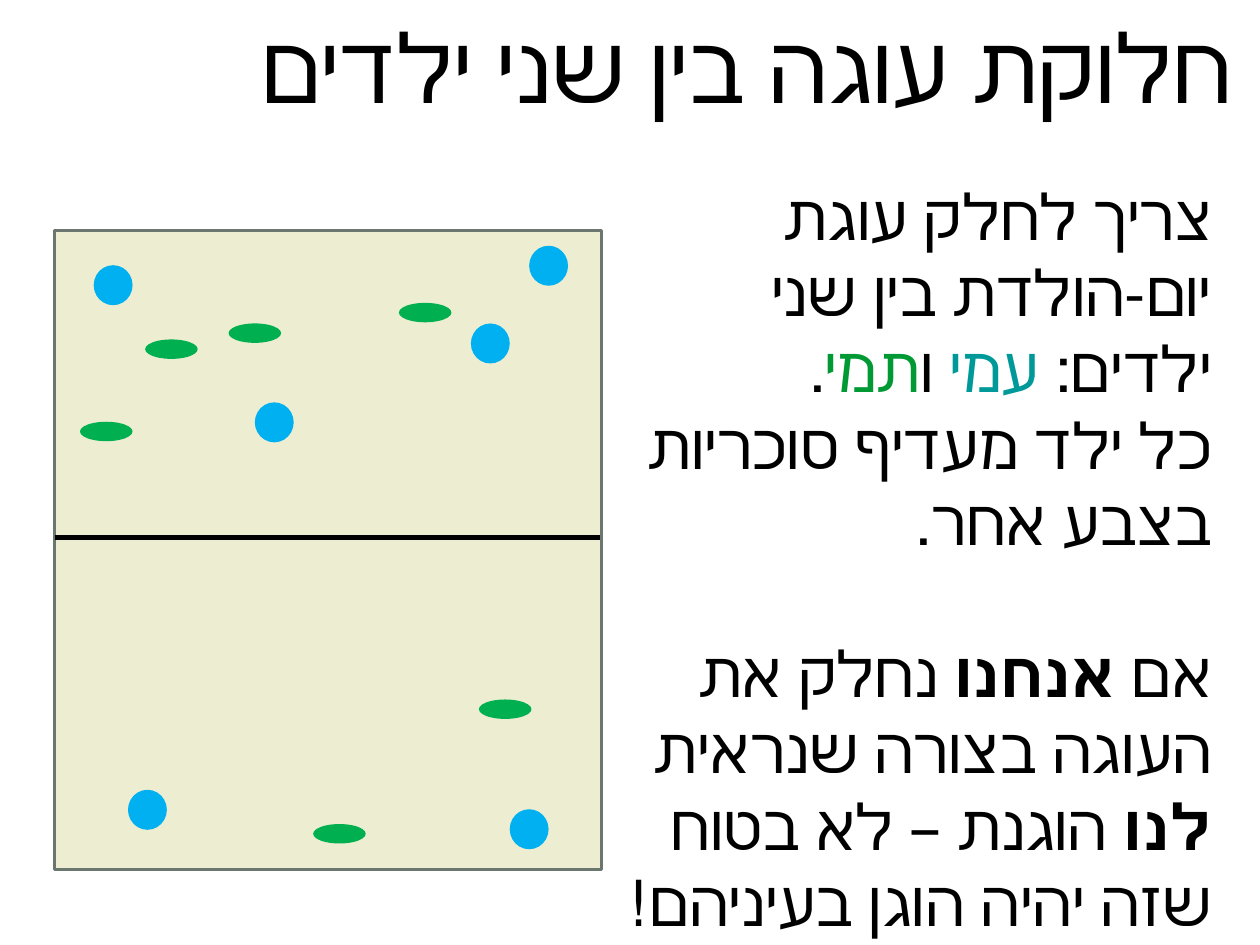
from typing import NamedTuple

import pptx
import pptx.dml.color
import pptx.enum.shapes
import pptx.enum.text
import pptx.oxml
import pptx.oxml.ns
import pptx.util
from pptx.util import Inches

COLORS = {
    "text": "000000",
    "ami": "009999",
    "tami": "009933",
    "cake": "ECEDD1",
    "crust": "6B766F",
    "blue": "00B0F0",
    "green": "00B050",
    "cut": "000000",
}
FONT = "Arial"
CM_PER_INCH = 2.54


class Phrase(NamedTuple):
    text: str
    color: str = "text"
    bold: bool = False


class Candy(NamedTuple):
    color: str
    width: float
    height: float
    corners: list[tuple[float, float]]


CANDIES = [
    Candy("blue", 0.34, 0.35, [
        (4.12, 2.83), (4.46, 7.08), (4.63, 2.15),
        (0.82, 2.32), (1.12, 6.91), (2.23, 3.52),
    ]),
    Candy("green", 0.46, 0.17, [
        (3.49, 2.65), (4.19, 6.12), (0.7, 3.69),
        (1.27, 2.97), (2.74, 7.21), (2, 2.83),
    ]),
]

TITLE = [[Phrase("חלוקת עוגה בין שני ילדים")]]
STORY = [
    [
        Phrase("צריך לחלק עוגת יום-הולדת בין שני ילדים: "),
        Phrase("עמי", "ami"),
        Phrase(" ו"),
        Phrase("תמי", "tami"),
        Phrase("."),
    ],
    [Phrase("כל ילד מעדיף סוכריות בצבע אחר.")],
    [
        Phrase("אם "),
        Phrase("אנחנו", bold=True),
        Phrase(" נחלק את העוגה בצורה שנראית "),
        Phrase("לנו", bold=True),
        Phrase(" הוגנת – לא בטוח שזה יהיה הוגן בעיניהם!"),
    ],
]


def rgb(name: str) -> pptx.dml.color.RGBColor:
    return pptx.dml.color.RGBColor.from_string(COLORS[name])


def add_text(slide, paragraphs: list[list[Phrase]], left: float, top: float,
             width: float, height: float, *, size: float,
             anchor=pptx.enum.text.MSO_ANCHOR.TOP,
             right_inset: float = 0.1, last_gap: float = 0) -> None:
    frame = slide.shapes.add_textbox(
        Inches(left), Inches(top), Inches(width), Inches(height)).text_frame
    frame.word_wrap = True
    frame.vertical_anchor = anchor
    frame.margin_right = Inches(right_inset)
    for index, phrases in enumerate(paragraphs):
        paragraph = frame.add_paragraph() if index else frame.paragraphs[0]
        paragraph.alignment = pptx.enum.text.PP_ALIGN.RIGHT
        paragraph._p.get_or_add_pPr().set("rtl", "1")
        for phrase in phrases:
            run = paragraph.add_run()
            run.text = phrase.text
            run.font.size = pptx.util.Pt(size)
            run.font.name = FONT
            run.font.bold = phrase.bold
            run.font.color.rgb = rgb(phrase.color)
            run._r.get_or_add_rPr().set("lang", "he-IL")
    if last_gap:
        paragraph.space_before = pptx.util.Pt(last_gap)


def add_figure(slide, kind, left: float, top: float, width: float,
               height: float, fill: str, outline: str | None = None) -> None:
    figure = slide.shapes.add_shape(
        kind, Inches(left), Inches(top), Inches(width), Inches(height))
    figure.shadow.inherit = False
    figure.fill.solid()
    figure.fill.fore_color.rgb = rgb(fill)
    if outline:
        figure.line.color.rgb = rgb(outline)
        figure.line.width = pptx.util.Pt(2)
    else:
        figure.line.fill.background()


def add_cut(slide, left: float, right: float, height: float) -> None:
    cut = slide.shapes.add_connector(
        pptx.enum.shapes.MSO_CONNECTOR.STRAIGHT,
        Inches(left), Inches(height), Inches(right), Inches(height))
    cut.line.color.rgb = rgb("cut")
    cut.line.width = pptx.util.Pt(2.9)
    cut._element.spPr.append(pptx.oxml.parse_xml(
        f'<a:effectLst {pptx.oxml.ns.nsdecls("a")}/>'))


def main() -> None:
    presentation = pptx.Presentation()
    presentation.slide_width = Inches(28 / CM_PER_INCH)
    presentation.slide_height = Inches(21 / CM_PER_INCH)
    slide = presentation.slides.add_slide(presentation.slide_layouts[6])
    shapes = pptx.enum.shapes.MSO_SHAPE

    add_figure(slide, shapes.RECTANGLE, 0.48, 2.02, 4.78, 5.59, "cake", "crust")
    add_text(slide, TITLE, 0.2, 0.05, 10.9, 1.05, size=60,
             anchor=pptx.enum.text.MSO_ANCHOR.MIDDLE, right_inset=0.32)
    for candy in CANDIES:
        for left, top in candy.corners:
            add_figure(slide, shapes.OVAL, left, top,
                       candy.width, candy.height, candy.color)
    add_text(slide, STORY, 5.25, 1.5, 5.45, 6.92, size=40, last_gap=48)
    add_cut(slide, 0.48, 5.25, 4.7)

    presentation.save("out.pptx")


main()
